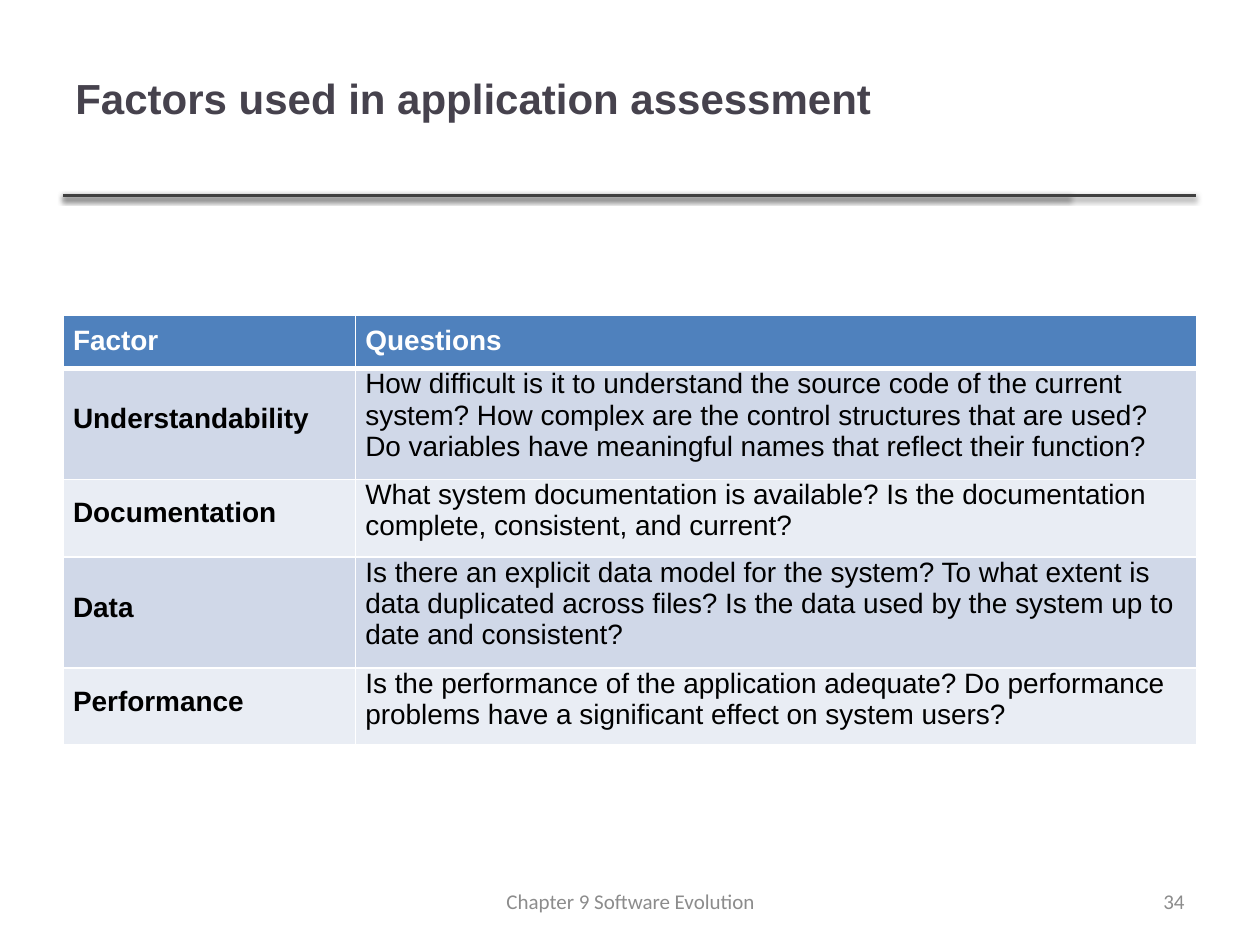
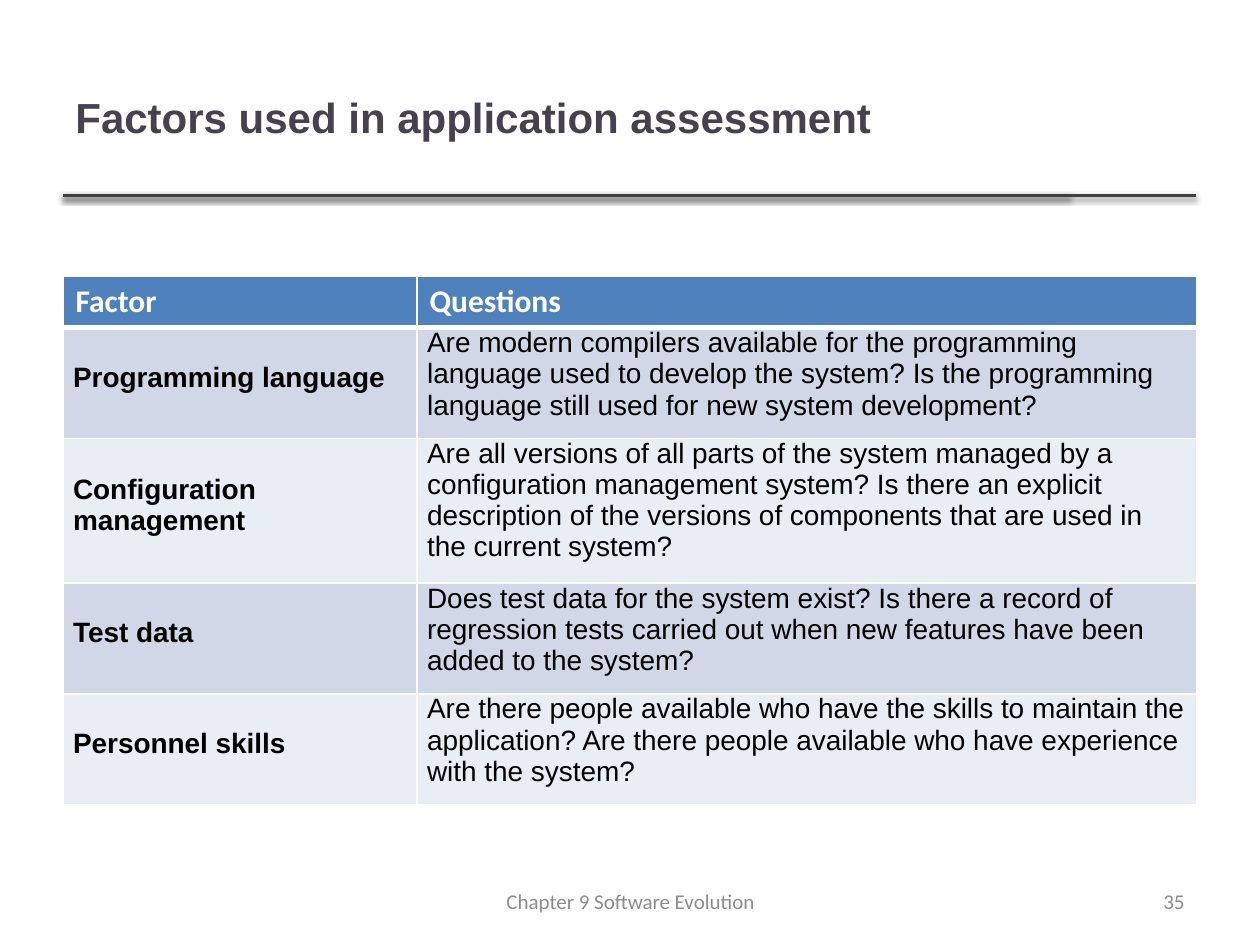
from lxml.etree import SubElement
from pptx import Presentation
from pptx.dml.color import RGBColor
from pptx.enum.shapes import MSO_CONNECTOR
from pptx.enum.text import MSO_ANCHOR, PP_ALIGN
from pptx.oxml.ns import qn
from pptx.util import Inches, Pt

# Grid: 100 columns by 75 rows, each a tenth of an inch
COLS, ROWS = 100, 75
LEFT, WIDE = 5, 90

# Shared formats
TITLE = dict(size=24, name="Arial", color="46424D", bold=True)
FOOT = dict(size=12, name="Calibri", color="8C8C8C", bold=False)
BODY = dict(size=16, name="Arial", color="000000", bold=False)
LABEL = BODY | dict(bold=True)
HEAD = LABEL | dict(color="FFFFFF")
WIDE_HEAD = HEAD | dict(size=18, name="Calibri")
HEAD_FILL, BANDS = "4F81BD", ("D0D8E8", "E9EDF4")
RULE, GRID_LINE = "404040", "FFFFFF"
PAD = dict(margin_left=0.08, margin_top=0, margin_right=0.08, margin_bottom=0.08)
HEAD_PAD = PAD | dict(margin_top=0.08)
WIDE_PAD = dict(margin_left=0.1, margin_top=0.05, margin_right=0.1, margin_bottom=0.05)
ROW_TALL = 4.1


def unit(count):
    return Inches(count / 10)


def paint(code):
    return RGBColor.from_string(code)


class Deck:
    def __init__(self):
        self.file = Presentation()
        self.file.slide_width, self.file.slide_height = unit(COLS), unit(ROWS)
        self.slide = None

    def page(self, number, title, top, width):
        """Start a slide with its rule, title and footer."""
        self.slide = self.file.slides.add_slide(self.file.slide_layouts[6])
        for end in (84.9, 94.9):
            self.line(LEFT, end, 15.5)
        self.text(title, (LEFT, top, width, 12.5), TITLE)
        self.text("Chapter 9 Software Evolution", (34.2, 69.5, 31.7, 4), FOOT, PP_ALIGN.CENTER)
        self.text(str(number), (71.7, 69.5, 23.3, 4), FOOT, PP_ALIGN.RIGHT)

    def style(self, para, text, form, align=PP_ALIGN.LEFT):
        para.alignment = align
        run = para.add_run()
        run.text = text
        for key, value in form.items():
            if key == "color":
                run.font.color.rgb = paint(value)
            else:
                setattr(run.font, key, Pt(value) if key == "size" else value)

    def text(self, text, area, form, align=PP_ALIGN.LEFT):
        frame = self.slide.shapes.add_textbox(*map(unit, area)).text_frame
        frame.word_wrap = True
        frame.vertical_anchor = MSO_ANCHOR.MIDDLE
        self.style(frame.paragraphs[0], text, form, align)

    def line(self, start, end, top):
        """Draw a level rule with a soft shadow below it."""
        rule = self.slide.shapes.add_connector(
            MSO_CONNECTOR.STRAIGHT, unit(start), unit(top), unit(end), unit(top))
        rule.line.width = Pt(2)
        rule.line.color.rgb = paint(RULE)
        effect = SubElement(rule.line._get_or_add_ln().getparent(), qn("a:effectLst"))
        shade = SubElement(effect, qn("a:outerShdw"), blurRad=str(Pt(3.1)),
                           dist=str(Pt(1.6)), dir="5400000", rotWithShape="0")
        tint = SubElement(shade, qn("a:srgbClr"), val="000000")
        SubElement(tint, qn("a:alpha"), val="38000")

    def cell(self, cell, text, form, pad, fill, edges, after, anchor):
        for key, value in pad.items():
            setattr(cell, key, Inches(value))
        cell.vertical_anchor = anchor
        for side, width in edges.items():
            edge = SubElement(cell._tc.get_or_add_tcPr(), qn(f"a:ln{side}"), w=str(Pt(width)))
            solid = SubElement(edge, qn("a:solidFill"))
            SubElement(solid, qn("a:srgbClr"), val=GRID_LINE)
        cell.fill.solid()
        cell.fill.fore_color.rgb = paint(fill)
        para = cell.text_frame.paragraphs[0]
        para.space_after = Pt(after)
        self.style(para, text, form)

    def table(self, top, split, facts, head, pad, after):
        """Lay out a header and banded rows; rows grow to fit their text."""
        rows = [("Factor", "Questions"), *facts]
        table = self.slide.shapes.add_table(
            len(rows), 2, unit(LEFT), unit(top), unit(WIDE), unit(ROW_TALL * len(rows))).table
        table.horz_banding = False
        for col, width in zip(table.columns, (split, WIDE - split)):
            col.width = unit(width)
        for r, row in enumerate(rows):
            edges = dict(L=1, R=1, T=3 if r == 1 else 1, B=3 if r == 0 else 1)
            for c, text in enumerate(row):
                if r == 0:
                    look = head, pad, HEAD_FILL, edges, after, MSO_ANCHOR.TOP
                else:
                    look = ((BODY if c else LABEL), PAD, BANDS[(r - 1) % 2], edges, 6,
                            MSO_ANCHOR.TOP if c else MSO_ANCHOR.MIDDLE)
                self.cell(table.cell(r, c), text, *look)


NAME = "Factors used in application assessment"

CODE_FACTS = [
    ("Understandability",
     "How difficult is it to understand the source code of the current system? "
     "How complex are the control structures that are used? "
     "Do variables have meaningful names that reflect their function?"),
    ("Documentation",
     "What system documentation is available? "
     "Is the documentation complete, consistent, and current?"),
    ("Data",
     "Is there an explicit data model for the system? "
     "To what extent is data duplicated across files? "
     "Is the data used by the system up to date and consistent?"),
    ("Performance",
     "Is the performance of the application adequate? "
     "Do performance problems have a significant effect on system users?"),
]

TEAM_FACTS = [
    ("Programming language",
     "Are modern compilers available for the programming language used to develop the system? "
     "Is the programming language still used for new system development?"),
    ("Configuration management",
     "Are all versions of all parts of the system managed by a configuration management system? "
     "Is there an explicit description of the versions of components "
     "that are used in the current system?"),
    ("Test data",
     "Does test data for the system exist? Is there a record of regression tests "
     "carried out when new features have been added to the system?"),
    ("Personnel skills",
     "Are there people available who have the skills to maintain the application? "
     "Are there people available who have experience with the system?"),
]


def main():
    deck = Deck()
    # Code and data factors
    deck.page(34, NAME, 1.5, WIDE)
    deck.table(25, 23.2, CODE_FACTS, HEAD, HEAD_PAD, 6)
    # Tool and team factors
    deck.page(35, NAME, 3, 79.8)
    deck.table(21.9, 28.1, TEAM_FACTS, WIDE_HEAD, WIDE_PAD, 0)
    deck.file.save("out.pptx")


if __name__ == "__main__":
    main()
